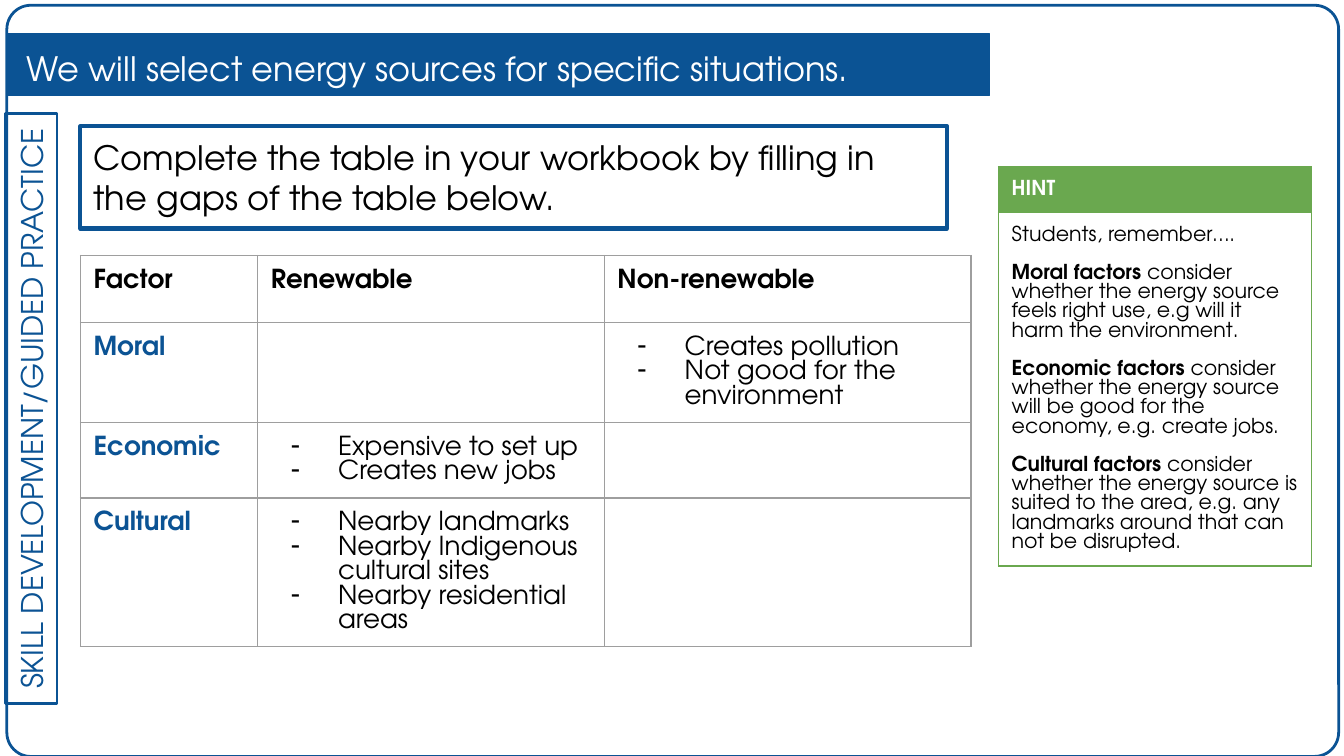
from lxml import etree
from pptx import Presentation
from pptx.dml.color import RGBColor
from pptx.enum.shapes import MSO_SHAPE
from pptx.enum.text import MSO_ANCHOR, PP_ALIGN
from pptx.oxml import parse_xml
from pptx.oxml.ns import nsdecls, qn
from pptx.util import Cm, Pt

RECT, ROUNDED = MSO_SHAPE.RECTANGLE, MSO_SHAPE.ROUNDED_RECTANGLE
MIDDLE, TOP = MSO_ANCHOR.MIDDLE, MSO_ANCHOR.TOP
LEFT, CENTER = PP_ALIGN.LEFT, PP_ALIGN.CENTER
BLUE = RGBColor(0x0B, 0x53, 0x94)
GREEN = RGBColor(0x6A, 0xA8, 0x4F)
GREY = RGBColor(0x9E, 0x9E, 0x9E)
BLACK = RGBColor(0, 0, 0)
WHITE = RGBColor(0xFF, 0xFF, 0xFF)
FONT = "TeX Gyre Adventor"
INSET = Cm(0.25)

SECTION = "SKILL DEVELOPMENT/GUIDED PRACTICE"
GOAL = "We will select energy sources for specific situations."
TASK = "Complete the table in your workbook by filling in the gaps of the table below."
HEADINGS = ["Factor", "Renewable", "Non-renewable"]
FACTORS = [
    ("Moral", [], ["Creates pollution", "Not good for the environment"]),
    ("Economic", ["Expensive to set up", "Creates new jobs"], []),
    ("Cultural", ["Nearby landmarks", "Nearby Indigenous cultural sites",
                  "Nearby residential areas"], []),
]
HINT_TITLE = "HINT"
HINTS = [
    ("", "Students, remember…."),
    ("Moral factors", " consider whether the energy source feels right use, "
     "e.g will it harm the environment."),
    ("Economic factors", " consider whether the energy source will be good for "
     "the economy, e.g. create jobs."),
    ("Cultural factors", " consider whether the energy source is suited to the "
     "area, e.g. any landmarks around that can not be disrupted."),
]


def write(holder, paragraphs, size, color=BLACK, bold=False, align=LEFT,
          spacing=None, gap=0, bullet=None):
    frame = holder.text_frame
    frame.word_wrap = True
    for index, content in enumerate(paragraphs):
        paragraph = frame.add_paragraph() if index else frame.paragraphs[0]
        if bullet:
            properties = paragraph._p.get_or_add_pPr()
            properties.set("marL", str(Cm(1.27)))
            properties.set("indent", str(-Cm(0.89)))
            dot_color = etree.SubElement(properties, qn("a:buClr"))
            etree.SubElement(dot_color, qn("a:srgbClr"), val=str(color))
            etree.SubElement(properties, qn("a:buChar"), char=bullet)
        paragraph.alignment = align
        paragraph.line_spacing = spacing
        if index and gap:
            paragraph.space_before = Pt(gap)
        runs = [(content, bold)] if isinstance(content, str) else [
            (content[0], True), (content[1], False)]
        for text, heavy in runs:
            if text:
                run = paragraph.add_run()
                run.text = text
                run.font.name = FONT
                run.font.size = Pt(size)
                run.font.bold = heavy
                run.font.color.rgb = color


def set_margins(holder, anchor):
    holder.margin_left = holder.margin_right = INSET
    holder.margin_top = holder.margin_bottom = INSET
    holder.vertical_anchor = anchor


def add_box(slide, kind, place, weight, fill=None):
    box = slide.shapes.add_shape(kind, *map(Cm, place))
    box.shadow.inherit = False
    if fill is None:
        box.fill.background()
    else:
        box.fill.solid()
        box.fill.fore_color.rgb = fill
    box.line.color.rgb = BLUE
    box.line.width = Pt(weight)
    set_margins(box.text_frame, MIDDLE)
    return box


def add_grid(slide, left, top, widths, heights, border):
    table = slide.shapes.add_table(len(heights), len(widths), Cm(left), Cm(top),
                                   Cm(sum(widths)), Cm(sum(heights))).table
    table.first_row = table.horz_banding = False
    for column, width in zip(table.columns, widths):
        column.width = Cm(width)
    for row, height in zip(table.rows, heights):
        row.height = Cm(height)
    for cell in table.iter_cells():
        set_margins(cell, TOP)
        cell.fill.background()
        for position, side in enumerate(("lnL", "lnR", "lnT", "lnB")):
            cell._tc.get_or_add_tcPr().insert(position, parse_xml(
                f'<a:{side} {nsdecls("a")} w="{Pt(0.75)}"><a:solidFill>'
                f'<a:srgbClr val="{border}"/></a:solidFill></a:{side}>'))
    return table


def main():
    deck = Presentation()
    deck.slide_width, deck.slide_height = Cm(25.4), Cm(14.29)
    slide = deck.slides.add_slide(deck.slide_layouts[6])

    frame = add_box(slide, ROUNDED, (0.13, 0.1, 25.17, 14.2), 1.5)
    frame.adjustments[0] = 0.032
    section = add_box(slide, RECT, (-4.98, 7.24, 11.15, 0.97), 1.5)
    section.rotation = 270
    write(section, [SECTION], 16, color=BLUE, align=CENTER)
    add_box(slide, RECT, (0.13, 0.64, 18.57, 1.17), 0.75, fill=BLUE)
    goal = slide.shapes.add_textbox(Cm(0.25), Cm(0.74), Cm(18.31), Cm(0.97))
    set_margins(goal.text_frame, MIDDLE)
    write(goal, [GOAL], 18, color=WHITE, spacing=1.15)
    task = add_box(slide, RECT, (1.52, 2.39, 16.38, 1.93), 2.25)
    write(task, [TASK], 18, spacing=Pt(21.4))

    hint = add_grid(slide, 18.87, 3.15, [5.92], [0.87, 6.68], GREEN)
    hint_title, hint_body = hint.cell(0, 0), hint.cell(1, 0)
    hint_title.fill.solid()
    hint_title.fill.fore_color.rgb = GREEN
    write(hint_title, [HINT_TITLE], 11, color=WHITE, bold=True, spacing=Pt(10.3))
    write(hint_body, HINTS, 11, spacing=Pt(10.3), gap=10.3)

    factors = add_grid(slide, 1.52, 4.83, [3.35, 6.55, 6.93],
                       [1.27, 1.88, 1.42, 2.79], GREY)
    for column, heading in enumerate(HEADINGS):
        write(factors.cell(0, column), [heading], 14, bold=True, spacing=Pt(13.1))
    for row, (factor, *answers) in enumerate(FACTORS, 1):
        write(factors.cell(row, 0), [factor], 14, color=BLUE, bold=True,
              spacing=Pt(13.1))
        for column, points in enumerate(answers, 1):
            write(factors.cell(row, column), points, 14, spacing=Pt(13.1),
                  bullet="-")

    deck.save("out.pptx")


if __name__ == "__main__":
    main()
